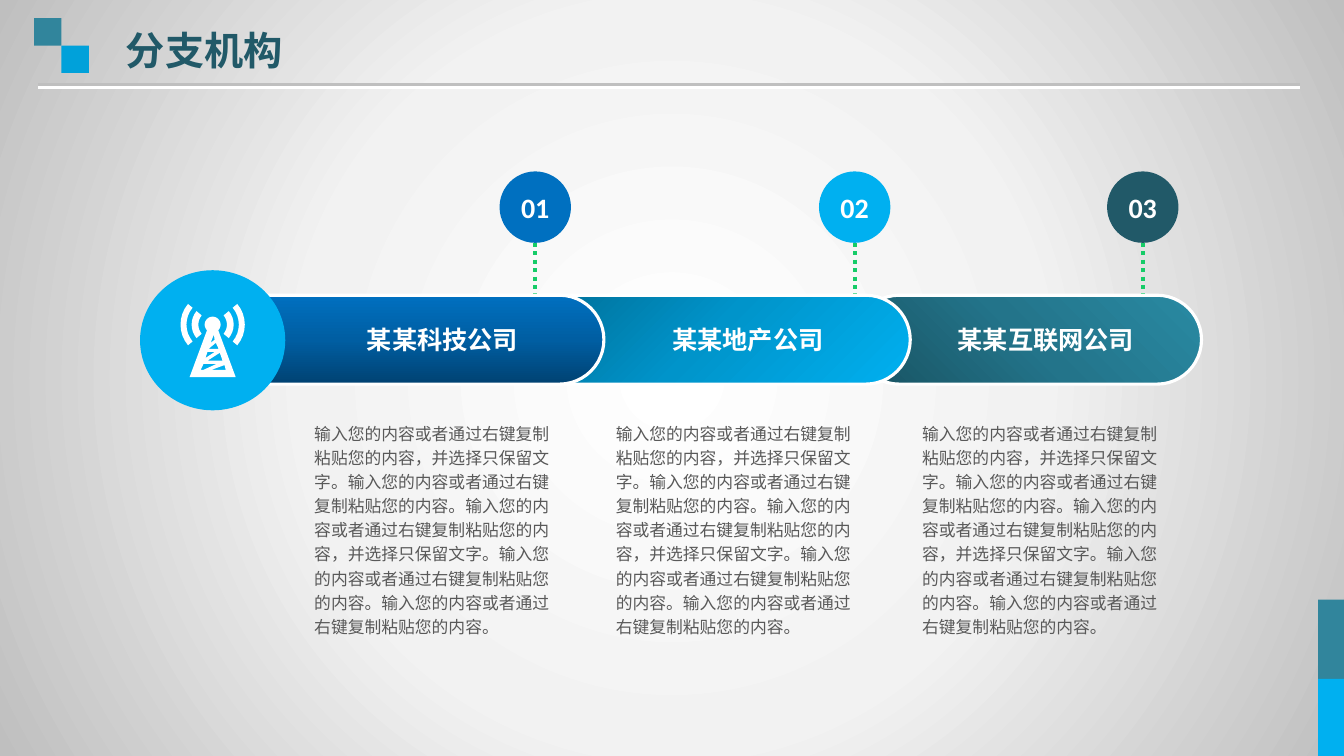
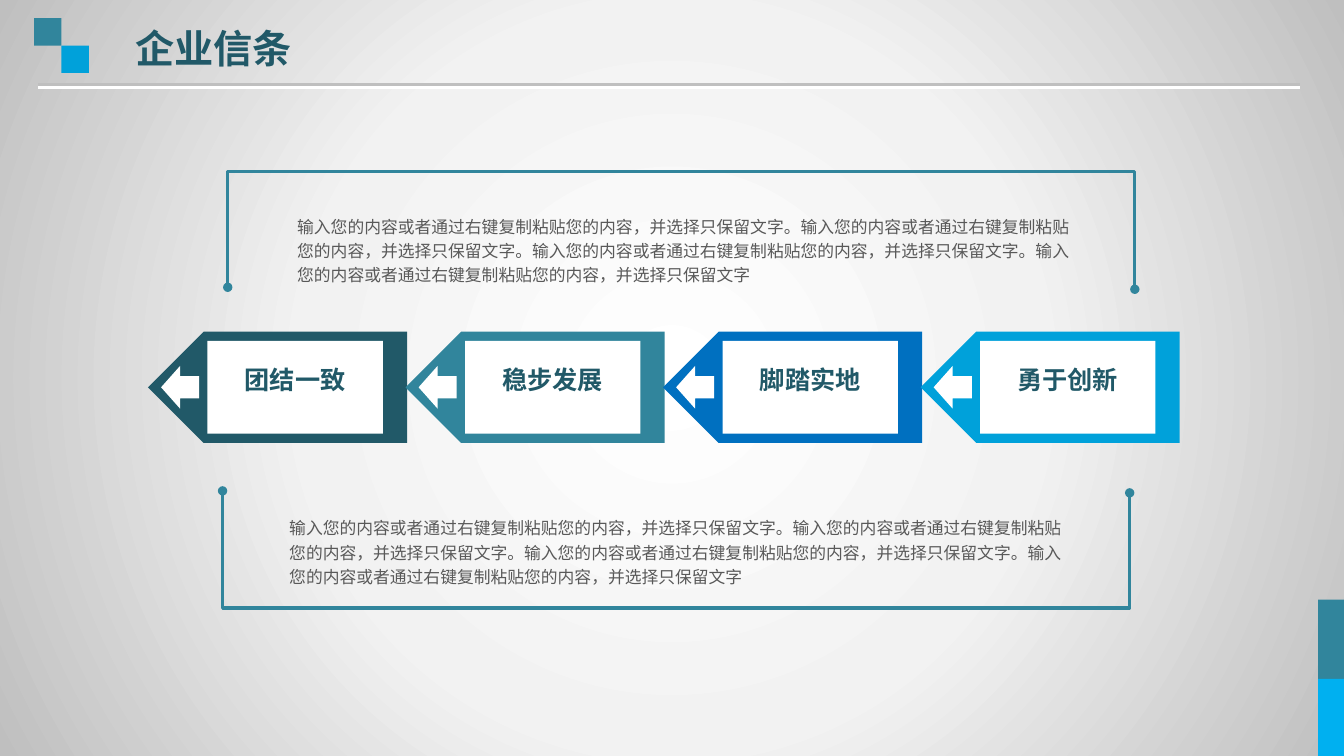
from math import cos, radians, sin

from pptx import Presentation
from pptx.dml.color import RGBColor
from pptx.enum.dml import MSO_LINE
from pptx.enum.shapes import MSO_CONNECTOR, MSO_SHAPE
from pptx.enum.text import MSO_ANCHOR, PP_ALIGN
from pptx.oxml import parse_xml
from pptx.oxml.ns import nsdecls, qn
from pptx.util import Cm, Pt

COLORS = {
    "white": "FFFFFF", "pale": "F2F2F2", "silver": "BFBFBF", "body": "595959",
    "dark": "215968", "teal": "31859C", "blue": "0070C0", "sky": "00A1DA",
    "cyan": "00B0F0", "green": "16CC68",
}
HEAD_FONT, BODY_FONT, NUMBER_FONT = "Noto Sans CJK SC", "Arial", "Calibri"
WIDTH, HEIGHT = 33.87, 19.05

SHORT = "输入您的内容或者通过右键复制粘贴您的内容"
LONG = SHORT + "，并选择只保留文字"
COLUMN_TEXT = "。".join([LONG, SHORT, LONG, SHORT, SHORT]) + "。"
CREED_TEXT = "。".join([LONG] * 4)

BRANCHES = [
    dict(number="01", name="某某科技公司", color="blue", badge=13.49, left=3.89,
         width=11.33, inset=3.19, column=7.67, angle=270,
         stops=[(0, "004272"), (50, "005EA2"), (100, "0070C0")]),
    dict(number="02", name="某某地产公司", color="cyan", badge=21.54, left=12.6,
         width=10.34, inset=2.16, column=15.27, angle=45,
         stops=[(0, "00688E"), (50, "0094CA"), (100, "00B0F0")]),
    dict(number="03", name="某某互联网公司", color="dark", badge=28.8, left=21.54,
         width=8.74, inset=0.9, column=22.99, angle=315,
         stops=[(0, "185261"), (50, "23748A"), (100, "298AA3")]),
]
PILL_TOP, PILL_HEIGHT = 7.44, 2.24
CREEDS = [("团结一致", "dark"), ("稳步发展", "teal"), ("脚踏实地", "blue"), ("勇于创新", "sky")]
TOWER_HOLES = [
    [(0.03, 0.25), (-0.05, 0.46), (0.05, 0.38)],
    [(0.08, 0.46), (-0.1, 0.61), (0.15, 0.61)],
    [(0.18, 0.71), (-0.13, 0.91), (0.25, 0.91)],
    [(0.3, 1.02), (-0.03, 1.14), (0.33, 1.14)],
    [(-0.23, 1.14), (0.1, 0.99), (-0.23, 0.99), (-0.3, 1.14)],
    [(-0.18, 0.84), (0.05, 0.69), (-0.13, 0.69)],
]


def rgb(name):
    return RGBColor.from_string(COLORS[name])


def add_run(p, text, size, color, font, bold=False):
    r = p.add_run()
    r.text = text
    r.font.size, r.font.bold, r.font.name = Pt(size), bold, font
    r.font.color.rgb = rgb(color)
    ea = parse_xml(f'<a:ea {nsdecls("a")} typeface="{font}"/>')
    r.font._element.find(qn("a:latin")).addnext(ea)


def fill_solid(sp, color):
    sp.shadow.inherit = False
    sp.fill.solid()
    sp.fill.fore_color.rgb = rgb(color)
    sp.line.fill.background()


def fill_gradient(sp, stops, direction):
    gs = "".join(f'<a:gs pos="{pos * 1000}"><a:srgbClr val="{color}"/></a:gs>'
                 for pos, color in stops)
    sp.fill.gradient()
    spPr = sp.element.spPr
    spPr.replace(spPr.find(qn("a:gradFill")), parse_xml(
        f'<a:gradFill {nsdecls("a")} rotWithShape="1"><a:gsLst>{gs}</a:gsLst>'
        f'{direction}</a:gradFill>'))


def add_block(s, kind, left, top, width, height, color):
    sp = s.shapes.add_shape(kind, Cm(left), Cm(top), Cm(width), Cm(height))
    fill_solid(sp, color)
    return sp


def add_label(sp, text, size, color, font=HEAD_FONT, left=0, bottom=0):
    tf = sp.text_frame
    tf.word_wrap, tf.vertical_anchor = True, MSO_ANCHOR.MIDDLE
    tf.margin_left, tf.margin_bottom = Cm(left), Cm(bottom)
    tf.margin_right = tf.margin_top = 0
    p = tf.paragraphs[0]
    p.alignment = PP_ALIGN.CENTER
    add_run(p, text, size, color, font, True)


def add_body(s, text, left, top, width, height):
    tf = s.shapes.add_textbox(Cm(left), Cm(top), Cm(width), Cm(height)).text_frame
    tf.word_wrap = True
    p = tf.paragraphs[0]
    p.line_spacing = Pt(17.25)
    add_run(p, text, 12, "body", BODY_FONT)


def add_line(s, x1, y1, x2, y2, color, weight, effect=""):
    c = s.shapes.add_connector(MSO_CONNECTOR.STRAIGHT, Cm(x1), Cm(y1), Cm(x2), Cm(y2))
    c.line.color.rgb, c.line.width = rgb(color), Pt(weight)
    c.element.spPr.append(parse_xml(
        f'<a:effectLst {nsdecls("a")}>{effect}</a:effectLst>'))
    return c


def add_outline(s, contours, color, close=True):
    fb = None
    for contour in contours:
        points = [(Cm(x), Cm(y)) for x, y in contour]
        if fb is None:
            fb = s.shapes.build_freeform(*points[0])
        else:
            fb.move_to(*points[0])
        fb.add_line_segments(points[1:], close=close)
    sp = fb.convert_to_shape()
    fill_solid(sp, color)
    return sp


def add_bracket(s, points):
    sp = add_outline(s, [points], "teal", close=False)
    sp.fill.background()
    sp.line.color.rgb, sp.line.width = rgb("teal"), Pt(2.25)
    ln = sp.element.spPr.find(qn("a:ln"))
    for end in ("headEnd", "tailEnd"):
        ln.append(parse_xml(f'<a:{end} {nsdecls("a")} type="oval"/>'))


def arc(radius, start, stop, step=10):
    return [(radius * cos(radians(a)), radius * sin(radians(a)))
            for a in range(start, stop + 1, step)]


def add_antenna(s, cx, cy):
    contours = [arc(0.2, 135, 405) + [(0.58, 1.32), (-0.58, 1.32)]] + TOWER_HOLES
    for inner, outer in ((0.36, 0.53), (0.66, 0.81)):
        wave = arc(inner, -40, 40) + arc(outer, -40, 40)[::-1]
        contours += [wave, [(-x, y) for x, y in wave]]
    add_outline(s, [[(cx + x, cy + y) for x, y in c] for c in contours], "white")


def build_frame(s, layout):
    existing = list(s.shapes)
    backdrop = add_block(s, MSO_SHAPE.RECTANGLE, 0, 0, WIDTH, HEIGHT, "white")
    fill_gradient(
        backdrop,
        [(0, COLORS["white"]), (48, COLORS["pale"]), (100, COLORS["silver"])],
        '<a:path path="circle"><a:fillToRect l="50000" t="50000" r="50000" b="50000"/></a:path>')
    for left, top, width, height, color in (
            (33.22, 15.11, 0.65, 2, "teal"), (33.22, 17.11, 0.65, 1.94, "cyan"),
            (0.86, 0.46, 0.69, 0.69, "teal"), (1.55, 1.15, 0.69, 0.69, "sky")):
        add_block(s, MSO_SHAPE.RECTANGLE, left, top, width, height, color)
    add_line(s, 0.97, 2.13, 32.77, 2.13, "silver", 2.25,
             '<a:outerShdw blurRad="0" dist="25400" dir="5400000">'
             f'<a:srgbClr val="{COLORS["white"]}"/></a:outerShdw>')
    for sp in list(s.shapes)[len(existing):]:
        layout.shapes.element.append(sp.element)


def set_title(s, text, left, top):
    title = s.shapes.title
    title.left, title.top, title.width, title.height = Cm(left), Cm(top), Cm(7.39), Cm(1.45)
    tf = title.text_frame
    tf.vertical_anchor = MSO_ANCHOR.MIDDLE
    p = tf.paragraphs[0]
    p.alignment = PP_ALIGN.LEFT
    add_run(p, text, 28, "dark", HEAD_FONT, True)


def add_badge(s, branch):
    size, top, center = 1.8, 4.32, branch["badge"]
    c = add_line(s, center, top + size, center, PILL_TOP, "green", 3)
    c.line.dash_style = MSO_LINE.ROUND_DOT
    sp = add_block(s, MSO_SHAPE.OVAL, center - size / 2, top, size, size, branch["color"])
    add_label(sp, branch["number"], 20, "white", NUMBER_FONT)


def add_pill(s, branch):
    sp = add_block(s, MSO_SHAPE.ROUNDED_RECTANGLE, branch["left"], PILL_TOP,
                   branch["width"], PILL_HEIGHT, branch["color"])
    sp.adjustments[0] = 0.5
    fill_gradient(sp, branch["stops"], f'<a:lin ang="{branch["angle"] * 60000}" scaled="0"/>')
    sp.line.color.rgb, sp.line.width = rgb("white"), Pt(2.25)
    add_label(sp, branch["name"], 18, "white", left=branch["inset"])


def build_branches(s):
    set_title(s, "分支机构", 2.92, 0.53)
    for branch in BRANCHES:
        add_badge(s, branch)
    for branch in reversed(BRANCHES):
        add_pill(s, branch)
    add_block(s, MSO_SHAPE.OVAL, 3.53, 6.81, 3.66, 3.53, "cyan")
    add_antenna(s, 5.36, 8.18)
    for branch in BRANCHES:
        add_body(s, COLUMN_TEXT, branch["column"], 10.44, 6.73, 6.4)


def add_creed(s, left, text, color):
    top, width, height = 8.36, 6.53, 2.8
    right, bottom, point = left + width, top + height, height / 2
    add_outline(s, [[(left + point, top), (right, top), (right, bottom),
                     (left + point, bottom), (left, top + point)]], color)
    panel = add_block(s, MSO_SHAPE.RECTANGLE, left + 1.5, top + 0.23, 4.42, 2.34, "white")
    add_label(panel, text, 18, "dark", bottom=0.4)
    arrow = add_block(s, MSO_SHAPE.LEFT_ARROW, left + 0.33, top + 0.86, 0.96, 1.08, "white")
    arrow.adjustments[0], arrow.adjustments[1] = 0.52, 0.5


def build_creeds(s):
    set_title(s, "企业信条", 3.15, 0.48)
    add_bracket(s, [(5.74, 7.24), (5.74, 4.32), (28.6, 4.32), (28.6, 7.29)])
    add_bracket(s, [(28.47, 12.42), (28.47, 15.32), (5.61, 15.32), (5.61, 12.37)])
    for left, top in ((7.24, 5.23), (7.04, 12.83)):
        add_body(s, CREED_TEXT, left, top, 20.09, 2.11)
    for i, (text, color) in enumerate(CREEDS):
        add_creed(s, 3.73 + 6.49 * i, text, color)


def main():
    prs = Presentation()
    prs.slide_width, prs.slide_height = Cm(WIDTH), Cm(HEIGHT)
    layout = prs.slide_layouts[5]
    slides = [prs.slides.add_slide(layout) for _ in range(2)]
    build_frame(slides[0], layout)
    build_branches(slides[0])
    build_creeds(slides[1])
    prs.save("out.pptx")


if __name__ == "__main__":
    main()
